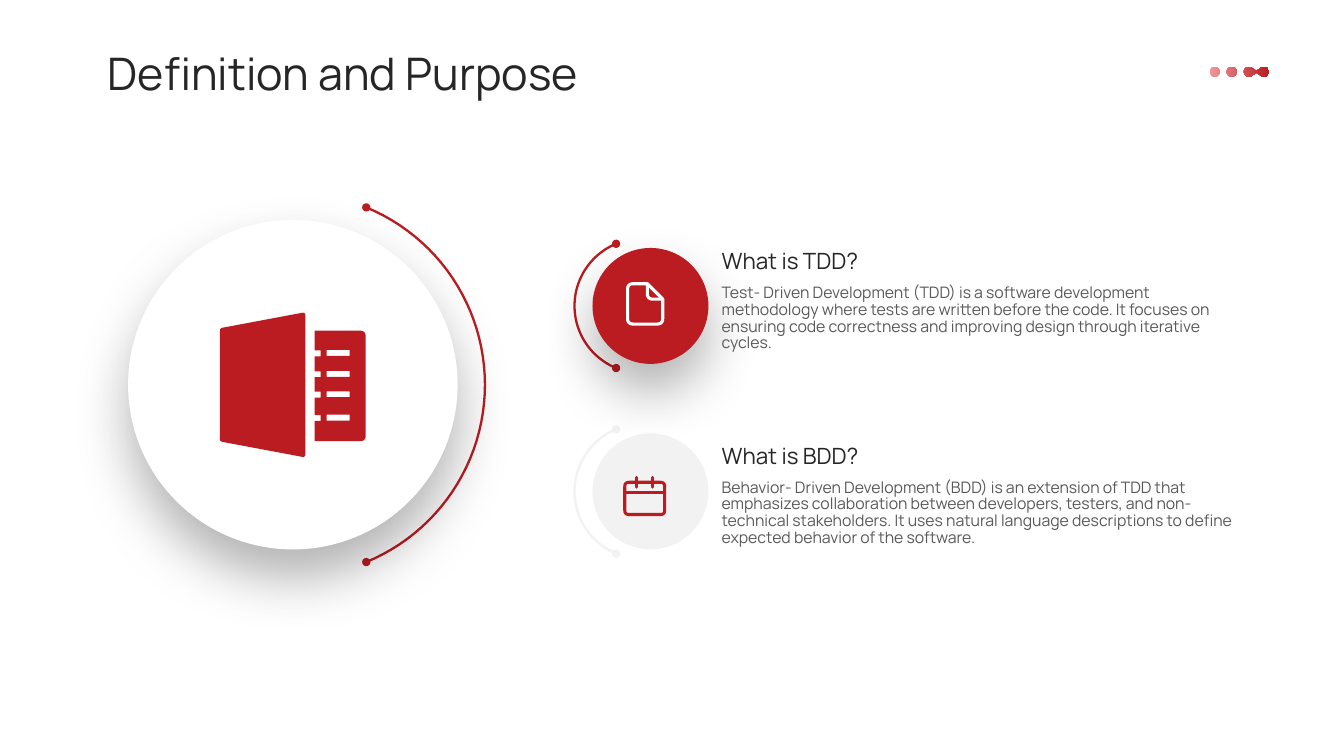
from dataclasses import dataclass
from math import cos, dist, radians, sin
from typing import Optional

from lxml import etree
from pptx import Presentation
from pptx import util as u
from pptx.dml.color import RGBColor
from pptx.enum import shapes, text
from pptx.oxml.ns import qn

Point = tuple[float, float]


@dataclass(frozen=True)
class Theme:
    font: str = "Manrope"
    red: str = "BB1C21"
    pink: str = "F0989B"
    grey: str = "F2F2F2"
    white: str = "FFFFFF"
    shadow: str = "000000"
    heading: str = "262626"
    body: str = "595959"
    title_size: float = 32
    heading_size: float = 16
    body_size: float = 11.3
    arc_width: float = 1.63
    icon_width: float = 2.2


@dataclass(frozen=True)
class Contour:
    points: list[Point]
    closed: bool = True


@dataclass(frozen=True)
class Disc:
    cx: float
    cy: float
    radius: float
    fill: str
    shadow: bool
    arc_cx: float
    arc_radius: float
    arc_mid: float
    arc_color: str


@dataclass(frozen=True)
class Topic:
    top: float
    heading: str
    body: str


T = Theme()
HALF_ARC = 67.6
DISCS = [
    Disc(464.6, 351, 41.4, T.grey, False, 458.4, 48, 180, T.grey),
    Disc(464.6, 218.5, 41.4, T.red, True, 458.4, 48, 180, T.red),
    Disc(209.2, 274.8, 117.7, T.white, True, 209.4, 137, 0, T.red),
]
TOPICS = [
    Topic(175, "What is TDD?",
          "Test- Driven Development (TDD) is a software development methodology where tests are "
          "written before the code. It focuses on ensuring code correctness and improving design "
          "through iterative cycles."),
    Topic(314, "What is BDD?",
          "Behavior- Driven Development (BDD) is an extension of TDD that emphasizes collaboration "
          "between developers, testers, and non- technical stakeholders. It uses natural language "
          "descriptions to define expected behavior of the software."),
]


def rgb(color: str) -> RGBColor:
    return RGBColor.from_string(color)


def arc(cx: float, cy: float, r: float, start: float, end: float, steps: int = 48) -> list[Point]:
    angles = [radians(start + (end - start) * i / steps) for i in range(steps + 1)]
    return [(cx + r * cos(a), cy + r * sin(a)) for a in angles]


def rounded(corners: list[tuple[float, float, float]], steps: int = 6) -> list[Point]:
    pts: list[Point] = []
    for i, (x, y, r) in enumerate(corners):
        if not r:
            pts.append((x, y))
            continue
        ends = []
        for nx, ny, _ in (corners[i - 1], corners[(i + 1) % len(corners)]):
            k = r / dist((x, y), (nx, ny))
            ends.append((x + k * (nx - x), y + k * (ny - y)))
        (ax, ay), (bx, by) = ends
        for j in range(steps + 1):
            t = j / steps
            a, b, c = (1 - t) ** 2, 2 * t * (1 - t), t * t
            pts.append((a * ax + b * x + c * bx, a * ay + b * y + c * by))
    return pts


def box(x: float, y: float, w: float, h: float) -> list[Point]:
    return [(x, y), (x + w, y), (x + w, y + h), (x, y + h)]


def paint(sp, fill: Optional[str] = None, line: Optional[str] = None, width: float = 1) -> None:
    sp.shadow.inherit = False
    if fill:
        sp.fill.solid()
        sp.fill.fore_color.rgb = rgb(fill)
    else:
        sp.fill.background()
    if line:
        sp.line.color.rgb = rgb(line)
        sp.line.width = u.Pt(width)
    else:
        sp.line.fill.background()


def add_outline(s, contours: list[Contour], **style):
    fb = None
    for c in contours:
        pts = [(u.Pt(x), u.Pt(y)) for x, y in c.points]
        if fb is None:
            fb = s.shapes.build_freeform(*pts[0])
        else:
            fb.move_to(*pts[0])
        fb.add_line_segments(pts[1:], close=c.closed)
    sp = fb.convert_to_shape()
    paint(sp, **style)
    return sp


def add_shadow(sp) -> None:
    effects = sp.element.spPr.find(qn("a:effectLst"))
    outer = etree.SubElement(effects, qn("a:outerShdw"), blurRad=str(u.Pt(40)), dist=str(u.Pt(20)),
                             dir="5400000", algn="t", rotWithShape="0")
    color = etree.SubElement(outer, qn("a:srgbClr"), val=T.shadow)
    etree.SubElement(color, qn("a:alpha"), val="30000")


def add_disc(s, d: Disc) -> None:
    pts = arc(d.arc_cx, d.cy, d.arc_radius, d.arc_mid - HALF_ARC, d.arc_mid + HALF_ARC)
    curve = add_outline(s, [Contour(pts, False)], line=d.arc_color, width=T.arc_width)
    ln = curve.line._get_or_add_ln()
    for end in ("a:headEnd", "a:tailEnd"):
        etree.SubElement(ln, qn(end), type="oval")
    sp = s.shapes.add_shape(shapes.MSO_SHAPE.OVAL, u.Pt(d.cx - d.radius), u.Pt(d.cy - d.radius),
                            u.Pt(2 * d.radius), u.Pt(2 * d.radius))
    paint(sp, fill=d.fill)
    if d.shadow:
        add_shadow(sp)


def write(sp, content: str, *, size: float, color: str, anchor, spacing: float = 1.0) -> None:
    tf = sp.text_frame
    tf.word_wrap = True
    tf.auto_size = text.MSO_AUTO_SIZE.NONE
    tf.vertical_anchor = anchor
    tf.margin_left = tf.margin_right = tf.margin_top = tf.margin_bottom = 0
    p = tf.paragraphs[0]
    p.alignment = text.PP_ALIGN.LEFT
    p.line_spacing = spacing
    r = p.add_run()
    r.text = content
    r.font.name, r.font.size, r.font.color.rgb = T.font, u.Pt(size), rgb(color)


def add_topic(s, topic: Topic) -> None:
    sp = s.shapes.add_textbox(u.Pt(515.5), u.Pt(topic.top), u.Pt(376), u.Pt(21))
    write(sp, topic.heading, size=T.heading_size, color=T.heading, anchor=text.MSO_ANCHOR.BOTTOM)
    sp = s.shapes.add_textbox(u.Pt(515.5), u.Pt(topic.top + 28.8), u.Pt(376), u.Pt(93.6))
    write(sp, topic.body, size=T.body_size, color=T.body, anchor=text.MSO_ANCHOR.TOP, spacing=0.88)


def add_folder_icon(s) -> None:
    rows = [250, 265, 279.5, 296.2]
    sheet = rounded([(224.8, 236.2, 0), (261.2, 236.2, 4), (261.2, 315.2, 4), (224.8, 315.2, 0)])
    for y in reversed(rows):
        sheet += [(224.8, y + 4.5), (229, y + 4.5), (229, y + 0.3), (224.8, y + 0.3)]
    cover = rounded([(157, 234.5, 2), (218.2, 223, 2.5), (218.2, 326.8, 2.5), (157, 315.3, 2)])
    dashes = [Contour(box(233.3, y, 16.5, 4.2)) for y in rows]
    add_outline(s, [Contour(sheet), Contour(cover), *dashes], fill=T.red)


def add_line_icons(s) -> None:
    page = rounded([(448.3, 202.7, 4), (462.4, 202.7, 0), (473.4, 213.7, 0),
                    (473.4, 231.5, 4), (448.3, 231.5, 4)])
    fold = rounded([(462.4, 202.7, 0), (462.4, 213.7, 4), (473.4, 213.7, 0)])
    calendar = rounded([(446.3, 344.5, 3), (474.8, 344.5, 3), (474.8, 367.5, 3), (446.3, 367.5, 3)])
    strokes = [[(446.3, 351.8), (474.8, 351.8)]] + [[(x, 341), (x, 348)] for x in (455, 466.2)]
    icons = [
        ([Contour(page), Contour(fold, False)], T.white),
        ([Contour(calendar)] + [Contour(pts, False) for pts in strokes], T.red),
    ]
    for contours, color in icons:
        sp = add_outline(s, contours, line=color, width=T.icon_width)
        sp.line._get_or_add_ln().set("cap", "rnd")


def add_dots(s) -> None:
    y, r = 51.3, 3.6
    dots = [Contour(arc(x, y, r, 0, 360)) for x in (867.6, 879.8)]
    link = (arc(892.1, y, r, 45, 315) + [(897.5, y - 0.7)]
            + arc(902.9, y, r, 225, 495) + [(897.5, y + 0.7)])
    sp = add_outline(s, [*dots, Contour(link)])
    sp.fill.gradient()
    sp.fill.gradient_angle = 0
    for stop, color in zip(sp.fill.gradient_stops, (T.pink, T.red)):
        stop.color.rgb = rgb(color)


def main() -> None:
    prs = Presentation()
    prs.slide_width, prs.slide_height = u.Pt(960), u.Pt(540)
    s = prs.slides.add_slide(prs.slide_layouts[5])
    title = s.shapes.title
    title.left, title.top, title.width, title.height = u.Pt(77), u.Pt(33), u.Pt(775), u.Pt(37)
    write(title, "Definition and Purpose", size=T.title_size, color=T.heading,
          anchor=text.MSO_ANCHOR.MIDDLE)
    for d in DISCS:
        add_disc(s, d)
    add_line_icons(s)
    add_folder_icon(s)
    for topic in TOPICS:
        add_topic(s, topic)
    add_dots(s)
    prs.save("out.pptx")


if __name__ == "__main__":
    main()
